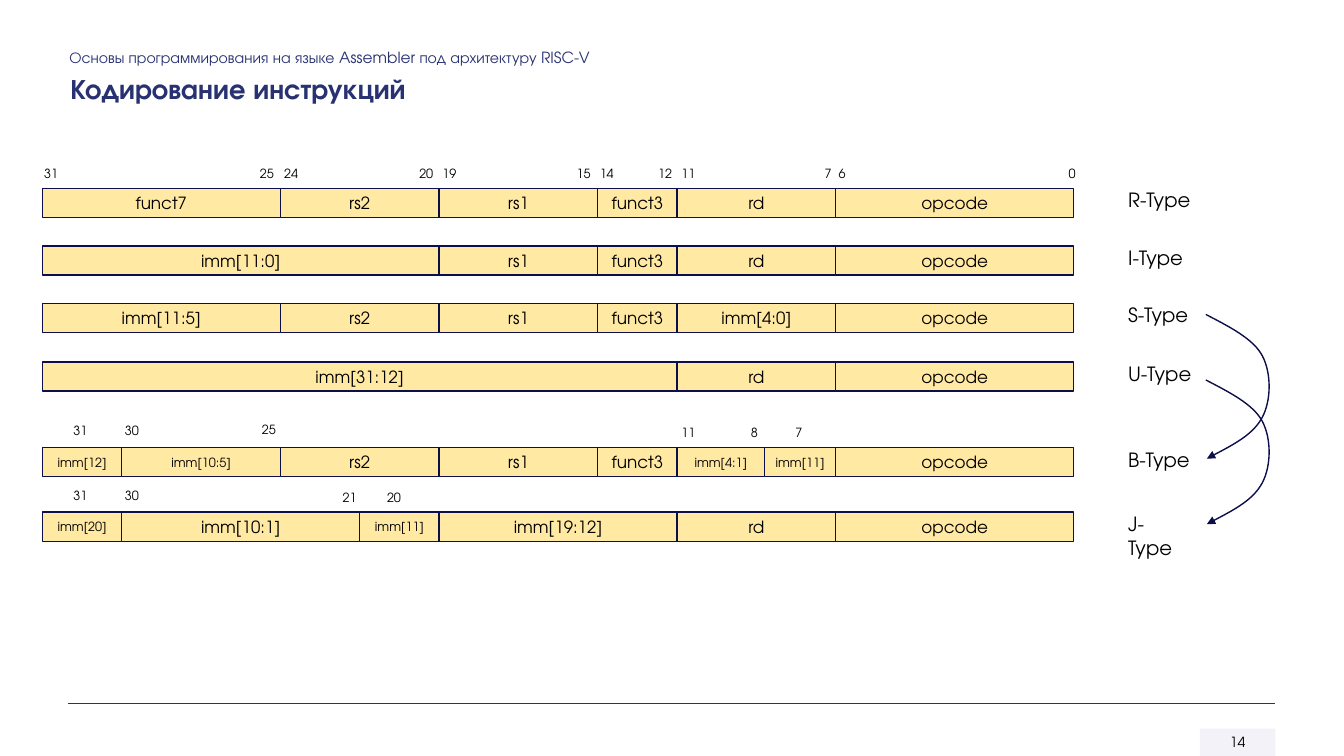
from dataclasses import dataclass

import pptx
import pptx.dml.color
import pptx.enum.shapes
import pptx.enum.text
import pptx.oxml
import pptx.oxml.ns
import pptx.util
from pptx.util import Inches

FONT = "TeX Gyre Adventor"
BLACK, HEADING, OUTLINE, CELL_FILL = "000000", "283272", "0D0F4B", "FFE9A3"
LEFT = 0.42
UNIT = 10.23 / 13  # the 32-bit word is drawn 13 units wide
ROW_H = 0.29
LABEL_X = 11.09
ARROW_X = 11.96
# Cubic segments relative to the start of the arrow
ARROW_CURVE = [(0.23, 0.12), (0.47, 0.24), (0.56, 0.41),
               (0.65, 0.58), (0.65, 0.85), (0.56, 1.02),
               (0.47, 1.19), (0.24, 1.31), (0.01, 1.43)]


@dataclass
class Field:
    text: str
    units: float
    size: int = 12


@dataclass
class Bit:
    text: str
    x: float
    y: float


@dataclass
class Format:
    label: str
    label_w: float
    top: float
    fields: list[Field]


FUNCT3, RS1, RS2 = Field("funct3", 1), Field("rs1", 2), Field("rs2", 2)
RD, OPCODE = Field("rd", 2), Field("opcode", 3)

FORMATS = [
    Format("R-Type", 0.85, 1.87, [Field("funct7", 3), RS2, RS1, FUNCT3, RD, OPCODE]),
    Format("I-Type", 0.79, 2.44, [Field("imm[11:0]", 5), RS1, FUNCT3, RD, OPCODE]),
    Format("S-Type", 0.84, 3.01,
           [Field("imm[11:5]", 3), RS2, RS1, FUNCT3, Field("imm[4:0]", 2), OPCODE]),
    Format("U-Type", 0.87, 3.59, [Field("imm[31:12]", 8), RD, OPCODE]),
    Format("B-Type", 0.86, 4.44,
           [Field("imm[12]", 1, 9), Field("imm[10:5]", 2, 9), RS2, RS1, FUNCT3,
            Field("imm[4:1]", 1.1, 9), Field("imm[11]", 0.9, 9), OPCODE]),
    Format("J-Type", 0.75, 5.08,
           [Field("imm[20]", 1, 9), Field("imm[10:1]", 3), Field("imm[11]", 1, 9),
            Field("imm[19:12]", 3), RD, OPCODE]),
]

WORD_BITS = [("31", 0.34), ("25", 2.48), ("24", 2.72), ("20", 4.06), ("19", 4.29),
             ("15", 5.62), ("14", 5.85), ("12", 6.43), ("11", 6.66), ("7", 8.08),
             ("6", 8.22), ("0", 10.5)]
BITS = [Bit(text, x, 1.6) for text, x in WORD_BITS] + [
    Bit("31", 0.63, 4.15), Bit("30", 1.14, 4.15), Bit("25", 2.5, 4.14),
    Bit("11", 6.66, 4.17), Bit("8", 7.35, 4.17), Bit("7", 7.79, 4.17),
    Bit("31", 0.63, 4.79), Bit("30", 1.14, 4.79),
    Bit("21", 3.3, 4.81), Bit("20", 3.74, 4.81),
]


def rgb(value: str) -> pptx.dml.color.RGBColor:
    return pptx.dml.color.RGBColor.from_string(value)


def a_element(xml: str):
    """Parse one DrawingML element given without its namespace declaration."""
    tag, rest = xml[:-2].split(" ", 1) if " " in xml else (xml[:-2], "")
    return pptx.oxml.parse_xml(f"{tag} {pptx.oxml.ns.nsdecls('a')} {rest}/>")


def write(tf, text: str, size: float, color: str, bold: bool = False,
          align=pptx.enum.text.PP_ALIGN.LEFT) -> None:
    tf.text = text
    p = tf.paragraphs[0]
    p.alignment = align
    font = p.runs[0].font
    font.name, font.size, font.bold = FONT, pptx.util.Pt(size), bold
    font.color.rgb = rgb(color)


def add_text(slide, text: str, x: float, y: float, w: float, h: float, size: float,
             color: str = BLACK, bold: bool = False, wrap: bool = False) -> None:
    tf = slide.shapes.add_textbox(Inches(x), Inches(y), Inches(w), Inches(h)).text_frame
    tf.word_wrap = wrap
    tf.auto_size = pptx.enum.text.MSO_AUTO_SIZE.SHAPE_TO_FIT_TEXT
    write(tf, text, size, color, bold)


def add_box(slide, text: str, x: float, y: float, w: float, h: float,
            size: float, fill: str):
    sp = slide.shapes.add_shape(pptx.enum.shapes.MSO_SHAPE.RECTANGLE,
                                Inches(x), Inches(y), Inches(w), Inches(h))
    sp.shadow.inherit = False
    sp.fill.solid()
    sp.fill.fore_color.rgb = rgb(fill)
    sp.line.fill.background()
    tf = sp.text_frame
    tf.margin_left = tf.margin_right = 0
    tf.vertical_anchor = pptx.enum.text.MSO_ANCHOR.MIDDLE
    write(tf, text, size, BLACK, align=pptx.enum.text.PP_ALIGN.CENTER)
    return sp


def set_line(sp, color: str) -> None:
    sp.line.color.rgb = rgb(color)
    sp.line.width = pptx.util.Pt(1)


def add_format(slide, fmt: Format) -> None:
    x = LEFT
    for field in fmt.fields:
        w = field.units * UNIT
        set_line(add_box(slide, field.text, x, fmt.top, w, ROW_H, field.size, CELL_FILL),
                 OUTLINE)
        x += w
    add_text(slide, fmt.label, LABEL_X, fmt.top - 0.05, fmt.label_w, 0.34, 14,
             wrap=fmt.label == "J-Type")


def add_curved_arrow(slide, y: float) -> None:
    builder = slide.shapes.build_freeform(Inches(ARROW_X), Inches(y))
    builder.add_line_segments([(Inches(ARROW_X + dx), Inches(y + dy))
                               for dx, dy in ARROW_CURVE], close=False)
    sp = builder.convert_to_shape()
    sp.shadow.inherit = False
    sp.fill.background()
    set_line(sp, OUTLINE)
    sp.line._get_or_add_ln().append(a_element('<a:tailEnd type="triangle"/>'))
    segments = sp._element.findall(".//" + pptx.oxml.ns.qn("a:lnTo"))
    for i in range(0, len(segments), 3):
        curve = a_element("<a:cubicBezTo/>")
        segments[i].addprevious(curve)
        for segment in segments[i:i + 3]:
            curve.append(segment[0])
            segment.getparent().remove(segment)


def add_frame(slide) -> None:
    """Heading, footer rule and page number."""
    page = add_box(slide, "14", 11.9, 7.23, 0.75, 0.27, 10, "F3F1F9")
    page.fill._xPr.find(".//" + pptx.oxml.ns.qn("a:srgbClr")).append(
        a_element('<a:alpha val="90000"/>'))
    rule = slide.shapes.add_connector(pptx.enum.shapes.MSO_CONNECTOR.STRAIGHT,
                                      Inches(0.67), Inches(6.98), Inches(12.65), Inches(6.98))
    set_line(rule, HEADING)
    rule._element.spPr.append(a_element("<a:effectLst/>"))
    add_text(slide, "Основы программирования на языке Assembler под архитектуру RISC-V",
             0.59, 0.43, 10.24, 0.29, 11, HEADING, wrap=True)
    add_text(slide, "Кодирование инструкций", 0.6, 0.66, 3.8, 0.44, 20, HEADING, bold=True)


def main() -> None:
    prs = pptx.Presentation()
    prs.slide_width, prs.slide_height = Inches(13.33), Inches(7.5)
    slide = prs.slides.add_slide(prs.slide_layouts[6])
    add_frame(slide)
    for fmt in FORMATS:
        add_format(slide, fmt)
    for bit in BITS:
        add_text(slide, bit.text, bit.x, bit.y, 0.21 + 0.07 * len(bit.text), 0.25, 9)
    for y in (3.12, 3.77):
        add_curved_arrow(slide, y)
    prs.save("out.pptx")


if __name__ == "__main__":
    main()
